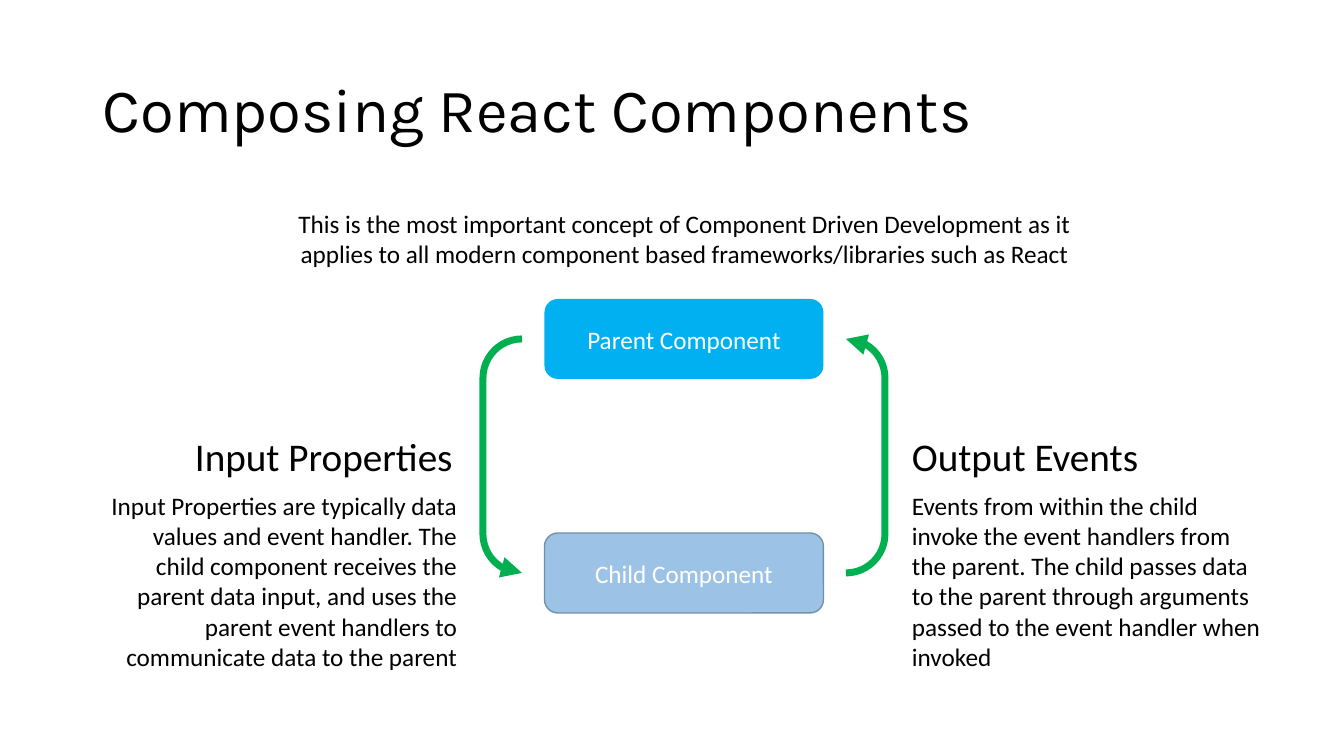
"""Build a slide on how parent and child React components exchange data."""
from lxml import etree
from pptx import Presentation
from pptx import util as u
from pptx.dml.color import RGBColor
from pptx.enum import shapes, text
from pptx.oxml.ns import qn

BLACK = RGBColor(0x00, 0x00, 0x00)
WHITE = RGBColor(0xFF, 0xFF, 0xFF)
SKY = RGBColor(0x00, 0xB0, 0xF0)
PALE_BLUE = RGBColor(0x9C, 0xC3, 0xE5)
SLATE = RGBColor(0x73, 0x90, 0xA9)
GREEN = RGBColor(0x00, 0xB0, 0x50)

LEFT, CENTER, RIGHT = text.PP_ALIGN.LEFT, text.PP_ALIGN.CENTER, text.PP_ALIGN.RIGHT
TOP, MIDDLE = text.MSO_ANCHOR.TOP, text.MSO_ANCHOR.MIDDLE

TITLE = "Composing React Components"
INTRO = [
    "This is the most important concept of Component Driven Development as it",
    "applies to all modern component based frameworks/libraries such as React",
]
COMPONENTS = [
    ("Parent Component", SKY, None),
    ("Child Component", PALE_BLUE, SLATE),
]
FLOWS = [
    ("Input Properties", 185, 286,
     "Input Properties are typically data values and event handler. The child "
     "component receives the parent data input, and uses the parent event "
     "handlers to communicate data to the parent", 98, RIGHT),
    ("Output Events", 902, 254,
     "Events from within the child invoke the event handlers from the parent. "
     "The child passes data to the parent through arguments passed to the "
     "event handler when invoked", 902, LEFT),
]

SLIDE_W, SLIDE_H = 1344, 756
BOX_W, BOX_H, BOX_TOP, BOX_STEP = 279, 80, 299, 234
LOOP_LEFT, LOOP_W = 483, 402
HEADING_TOP, HEADING_H = 427, 58
BODY_W, BODY_H = 369, 197


def px(*lengths):
    return [u.Emu(round(length * u.Inches(1) / 100.8)) for length in lengths]


def write(frame, lines, size, color, align=LEFT, anchor=TOP, font="Calibri"):
    frame.word_wrap = True
    frame.vertical_anchor = anchor
    frame.text = "\n".join(lines)
    for paragraph in frame.paragraphs:
        paragraph.alignment = align
        paragraph.font.name = font
        paragraph.font.size = u.Pt(size)
        paragraph.font.color.rgb = color


def add_text(slide, place, lines, size, **style):
    frame = slide.shapes.add_textbox(*px(*place)).text_frame
    write(frame, lines, size, BLACK, **style)
    return frame


def add_component(slide, top, label, fill, outline):
    left = LOOP_LEFT + (LOOP_W - BOX_W) / 2
    box = slide.shapes.add_shape(shapes.MSO_SHAPE.ROUNDED_RECTANGLE,
                                 *px(left, top, BOX_W, BOX_H))
    box.shadow.inherit = False
    box.fill.solid()
    box.fill.fore_color.rgb = fill
    if outline:
        box.line.color.rgb = outline
        box.line.width = u.Pt(1)
    else:
        box.line.fill.background()
    write(box.text_frame, [label], 18, WHITE, CENTER, MIDDLE)


def add_loop(slide):
    loop = slide.shapes.add_shape(shapes.MSO_SHAPE.DOUBLE_BRACKET,
                                  *px(LOOP_LEFT, BOX_TOP + BOX_H / 2, LOOP_W, BOX_STEP))
    loop.shadow.inherit = False
    loop.fill.background()
    loop.line.color.rgb = GREEN
    loop.line.width = u.Pt(5)
    etree.SubElement(loop.line._get_or_add_ln(), qn("a:headEnd"), type="triangle")


def main():
    deck = Presentation()
    deck.slide_width, deck.slide_height = px(SLIDE_W, SLIDE_H)
    slide = deck.slides.add_slide(deck.slide_layouts[6])

    title = add_text(slide, (93, 40, 1159, 146), [TITLE], 44, anchor=MIDDLE, font="Karla")
    title.paragraphs[0].line_spacing = 0.9
    for row, component in enumerate(COMPONENTS):
        add_component(slide, BOX_TOP + row * BOX_STEP, *component)
    add_loop(slide)
    for heading, heading_left, heading_w, body, body_left, align in FLOWS:
        add_text(slide, (heading_left, HEADING_TOP, heading_w, HEADING_H), [heading], 28)
        add_text(slide, (body_left, HEADING_TOP + HEADING_H, BODY_W, BODY_H),
                 [body], 18, align=align)
    add_text(slide, (241, 203, 887, 73), INTRO, 18, align=CENTER)
    deck.save("out.pptx")


if __name__ == "__main__":
    main()
